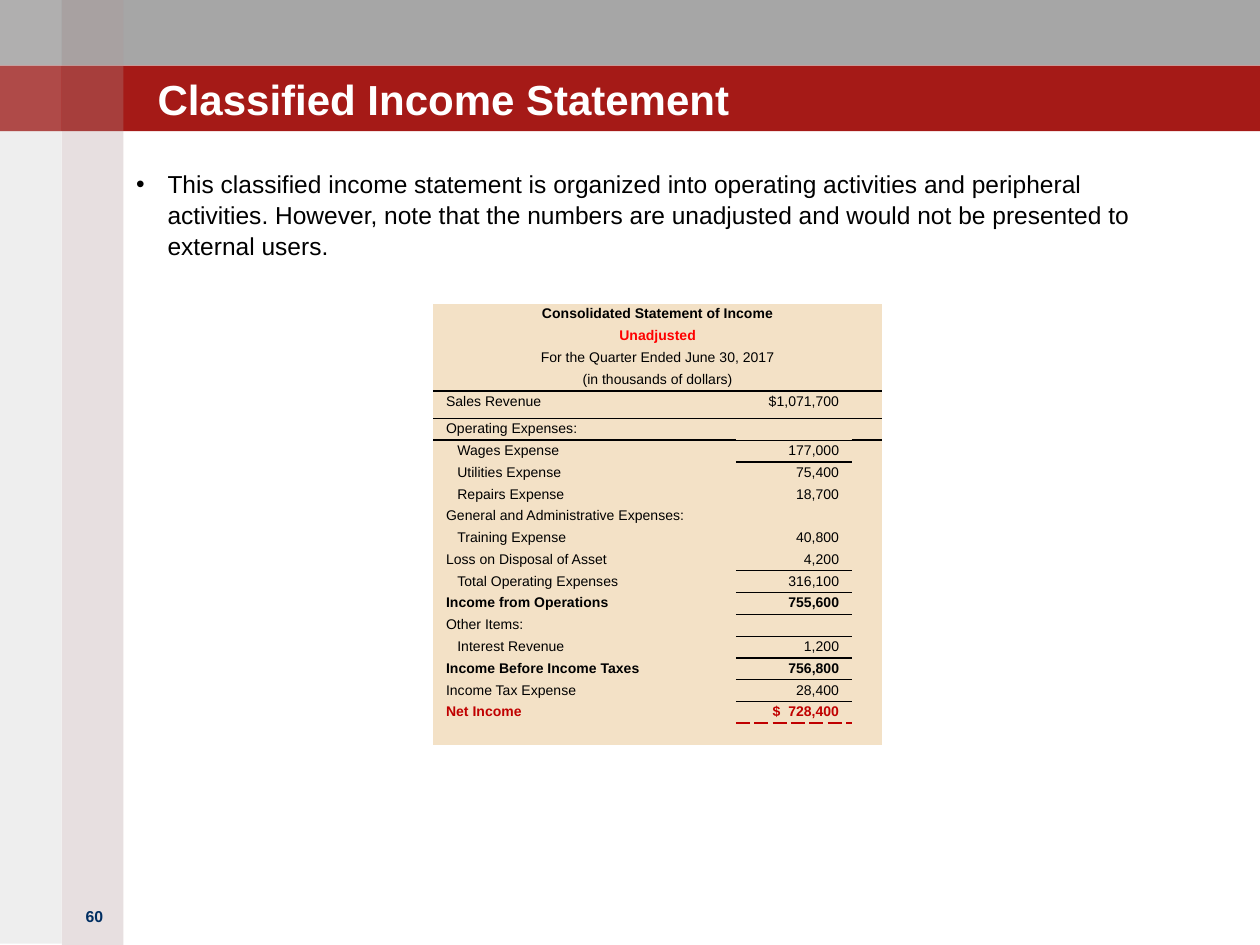
"""Build the classified income statement slide."""
from dataclasses import dataclass

from lxml import etree
from pptx import Presentation
from pptx.dml.color import RGBColor
from pptx.enum.shapes import MSO_SHAPE
from pptx.enum.text import MSO_ANCHOR, PP_ALIGN
from pptx.oxml.ns import qn
from pptx.util import Inches, Pt

RECTANGLE = MSO_SHAPE.RECTANGLE
TOP, BOTTOM = MSO_ANCHOR.TOP, MSO_ANCHOR.BOTTOM
LEFT, CENTER, RIGHT = PP_ALIGN.LEFT, PP_ALIGN.CENTER, PP_ALIGN.RIGHT


@dataclass(frozen=True)
class Theme:
    font: str = "Arial"
    title: int = 24
    body: int = 14
    number: int = 9
    table: int = 8
    black: str = "000000"
    white: str = "FFFFFF"
    gray: str = "A6A6A6"
    red: str = "A51A17"
    rose: str = "A08284"
    taupe: str = "938F8F"
    navy: str = "002E62"
    sand: str = "F3E1C6"
    alert: str = "FF0000"
    total: str = "C00000"


theme = Theme()


def write(para, text, size, color, bold=False, align=LEFT):
    para.alignment = align
    span = para.add_run()
    span.text = text
    look = {"name": theme.font, "size": Pt(size), "bold": bold}
    for name, value in look.items():
        setattr(span.font, name, value)
    span.font.color.rgb = RGBColor.from_string(color)


def draw_border(cell, side, color, width, dash="solid"):
    line = etree.SubElement(cell._tc.get_or_add_tcPr(), qn("a:" + side), w=str(Pt(width)))
    fill = etree.SubElement(line, qn("a:solidFill"))
    etree.SubElement(fill, qn("a:srgbClr"), val=color)
    etree.SubElement(line, qn("a:prstDash"), val=dash)


deck = Presentation()
deck.slide_width, deck.slide_height = Inches(10), Inches(7.5)
page = deck.slides.add_slide(deck.slide_layouts[6])

bands = [
    (0, 0, 10, 0.52, theme.gray, 100),
    (0, 0.52, 10, 0.52, theme.red, 100),
    (0.49, 0, 0.49, 7.5, theme.rose, 25),
    (0, 0, 0.49, 7.49, theme.taupe, 15),
]
for top in (0, 0.52):
    bands += [(0.49, top, 0.49, 0.52, theme.white, 5), (0, top, 0.49, 0.52, theme.white, 15)]
for left, top, width, height, color, opacity in bands:
    band = page.shapes.add_shape(RECTANGLE, Inches(left), Inches(top), Inches(width), Inches(height))
    band.shadow.inherit = False
    band.line.fill.background()
    band.fill.solid()
    band.fill.fore_color.rgb = RGBColor.from_string(color)
    if opacity < 100:
        tint = band.fill._xPr.find(".//" + qn("a:srgbClr"))
        etree.SubElement(tint, qn("a:alpha"), val=str(opacity * 1000))

statement = (
    "This classified income statement is organized into operating activities and peripheral "
    "activities. However, note that the numbers are unadjusted and would not be presented to "
    "external users."
)
texts = [
    ("60", 0.5, 7.15, 0.5, 0.5, 0.05, TOP, theme.number, theme.navy, True, CENTER),
    ("Classified Income Statement", 1.25, 0.31, 7.92, 0.67, 0, BOTTOM,
     theme.title, theme.white, True, LEFT),
    (statement, 1.08, 1.33, 8.17, 5.83, 0, TOP, theme.body, theme.black, False, LEFT),
]
for text, left, top, width, height, inset, anchor, size, color, bold, align in texts:
    box = page.shapes.add_textbox(Inches(left), Inches(top), Inches(width), Inches(height))
    frame = box.text_frame
    frame.word_wrap = True
    frame.vertical_anchor = anchor
    for side in ("left", "top", "right", "bottom"):
        setattr(frame, "margin_" + side, Inches(inset))
    para = frame.paragraphs[0]
    write(para, text, size, color, bold, align)
    if text == statement:
        para.line_spacing = 1.05
        props = para._p.get_or_add_pPr()
        props.set("marL", str(Inches(0.25)))
        props.set("indent", str(Inches(-0.25)))
        etree.SubElement(props, qn("a:buFont"), typeface=theme.font)
        etree.SubElement(props, qn("a:buChar"), char="•")

headings = [
    ("Consolidated Statement of Income", theme.black, True),
    ("Unadjusted", theme.alert, True),
    ("For the Quarter Ended June 30, 2017", theme.black, False),
    ("(in thousands of dollars)", theme.black, False),
]
accounts = [
    ("Sales Revenue", "$1,071,700", 0),
    ("Operating Expenses:", "", 0),
    ("Wages Expense", "177,000", 1),
    ("Utilities Expense", "75,400", 1),
    ("Repairs Expense", "18,700", 1),
    ("General and Administrative Expenses:", "", 0),
    ("Training Expense", "40,800", 1),
    ("Loss on Disposal of Asset", "4,200", 0),
    ("Total Operating Expenses", "316,100", 1),
    ("Income from Operations", "755,600", 0),
    ("Other Items:", "", 0),
    ("Interest Revenue", "1,200", 1),
    ("Income Before Income Taxes", "756,800", 0),
    ("Income Tax Expense", "28,400", 0),
    ("Net Income", "$  728,400", 0),
    ("", "", 0),
]
bold_accounts = {"Income from Operations", "Income Before Income Taxes", "Net Income"}
first = len(headings)
last = first + len(accounts) - 1

thin = (theme.black, 0.75)
rules = {(first - 1, column): (theme.black, 1.5) for column in range(3)}
rules |= {(first, 0): (theme.black, 1), (first, 2): (theme.black, 1)}
rules |= {(row, 1): thin for row in (4, 5, 11, 12, 13, 15, 16, 17)}
rules[last - 1, 1] = (theme.total, 1.5, "sysDash")

holder = page.shapes.add_table(last + 1, 3, Inches(3.44), Inches(2.41), Inches(3.55), Inches(3.41))
grid = holder.table
grid.first_row = grid.horz_banding = False
style = grid._tbl.tblPr.find(qn("a:tableStyleId"))
style.text = "{2D5ABB26-0587-4C30-8999-92F81FD0307C}"
for column, width in zip(grid.columns, (2.4, 0.92, 0.23)):
    column.width = Inches(width)
for index, row in enumerate(grid.rows):
    row.height = Inches(0.22 if index == first else 3.19 / last)
    if index < first:
        text, color, bold = headings[index]
        grid.cell(index, 0).merge(grid.cell(index, 2))
        values, level, aligns = (text, "", ""), 0, (CENTER, CENTER, CENTER)
    else:
        label, amount, level = accounts[index - first]
        color = theme.total if label == "Net Income" else theme.black
        bold = label in bold_accounts
        values, aligns = (label, amount, ""), (LEFT, RIGHT, LEFT)
    for position, (value, align) in enumerate(zip(values, aligns)):
        cell = grid.cell(index, position)
        indent = 0.09 * level if position == 0 else 0
        margins = {"left": 0.1 + indent, "right": 0.1, "top": 0.02, "bottom": 0.02}
        for side, margin in margins.items():
            setattr(cell, "margin_" + side, Inches(margin))
        for side, edge in (("lnT", index - 1), ("lnB", index)):
            if (edge, position) in rules:
                draw_border(cell, side, *rules[edge, position])
        cell.fill.solid()
        cell.fill.fore_color.rgb = RGBColor.from_string(theme.sand)
        para = cell.text_frame.paragraphs[0]
        if value:
            write(para, value, theme.table, color, bold, align)
        else:
            etree.SubElement(para._p, qn("a:endParaRPr"), sz=str(theme.table * 100))

deck.save("out.pptx")
